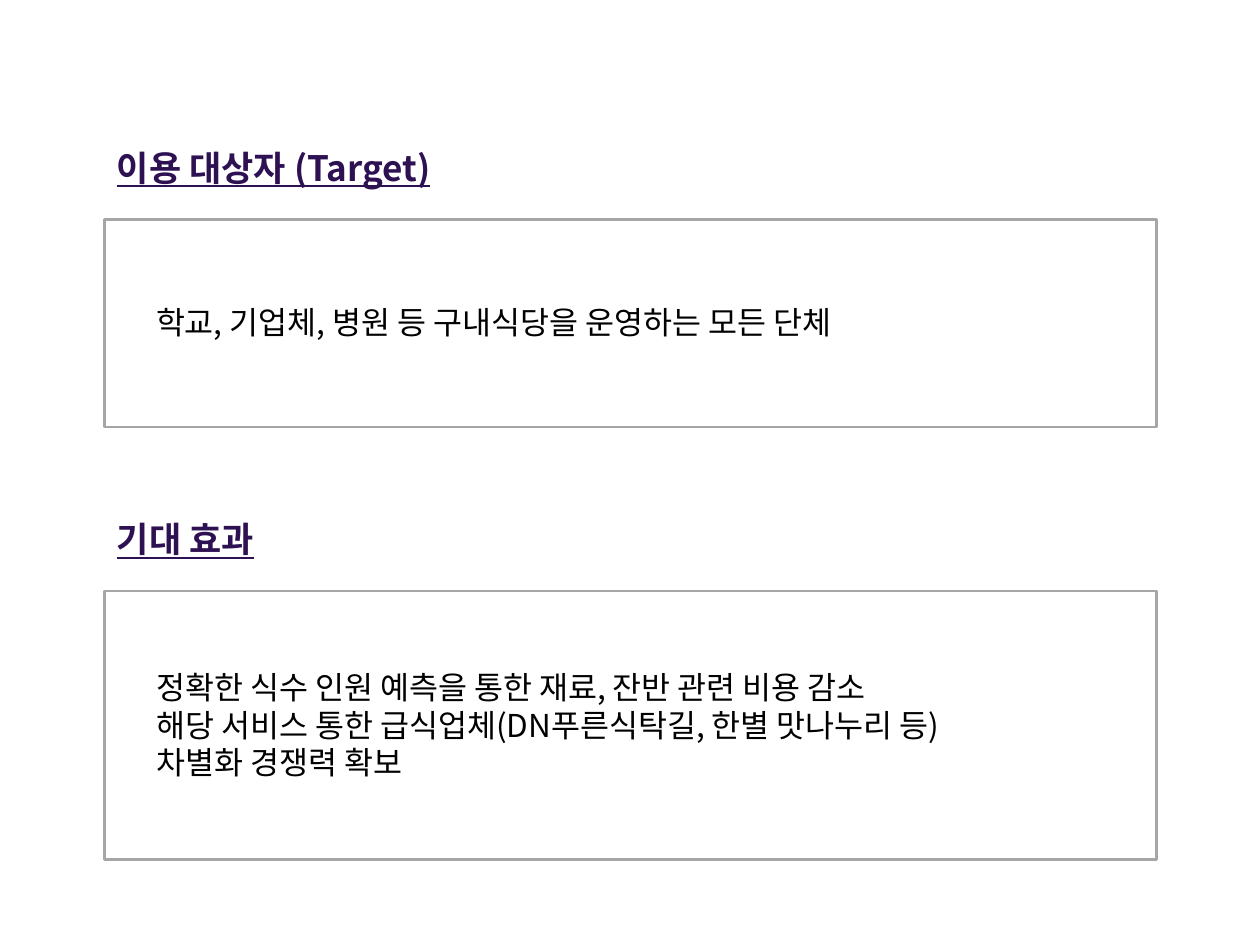
from pptx import Presentation
from pptx.dml.color import RGBColor
from pptx.enum.shapes import MSO_SHAPE
from pptx.enum.text import MSO_AUTO_SIZE
from pptx.oxml.ns import qn
from pptx.util import Inches, Pt
from lxml.etree import SubElement

COLORS = {"heading": "2D1152", "body": "000000", "border": "A6A6A6"}
FONT = "Noto Sans CJK KR"
LEFT, BODY_LEFT, BOX_WIDTH = 0.83, 1.14, 8.35
HEADING_HEIGHT, BOX_OFFSET = 0.44, 0.63

# heading, heading top, box height, body top, body size, body lines
SECTIONS = [
    ("이용 대상자 (Target)", 1.11, 1.65, 2.36, (6.24, 0.4),
     ["학교, 기업체, 병원 등 구내식당을 운영하는 모든 단체"]),
    ("기대 효과", 4.06, 2.13, 5.25, (7.01, 1.01),
     ["정확한 식수 인원 예측을 통한 재료, 잔반 관련 비용 감소",
      "해당 서비스 통한 급식업체(DN푸른식탁길, 한별 맛나누리 등)",
      "차별화 경쟁력 확보"]),
]

presentation = Presentation()
presentation.slide_width = Inches(10)
presentation.slide_height = Inches(7.5)
slide = presentation.slides.add_slide(presentation.slide_layouts[6])


def add_text(lines, left, top, width, height, size, color, heading=False):
    """Add a text box with one paragraph per line; only headings wrap."""
    box = slide.shapes.add_textbox(Inches(left), Inches(top), Inches(width), Inches(height))
    frame = box.text_frame
    frame.word_wrap = heading
    frame.auto_size = MSO_AUTO_SIZE.SHAPE_TO_FIT_TEXT
    frame.text = "\n".join(lines)
    for paragraph in frame.paragraphs:
        font = paragraph.font
        font.name = FONT
        font.size = Pt(size)
        font.color.rgb = RGBColor.from_string(COLORS[color])
        if heading:
            font.bold = font.underline = True
        # Korean letters take the East Asian typeface
        properties = paragraph._p.pPr.find(qn("a:defRPr"))
        SubElement(properties, qn("a:ea"), typeface=FONT)


for heading, top, box_height, body_top, body_size, lines in SECTIONS:
    add_text([heading], LEFT, top, 2.97, HEADING_HEIGHT, 20, "heading", heading=True)
    box = slide.shapes.add_shape(
        MSO_SHAPE.RECTANGLE, Inches(LEFT), Inches(top + BOX_OFFSET),
        Inches(BOX_WIDTH), Inches(box_height))
    box.shadow.inherit = False
    box.fill.background()
    box.line.color.rgb = RGBColor.from_string(COLORS["border"])
    box.line.width = Pt(1.5)
    add_text(lines, BODY_LEFT, body_top, *body_size, 18, "body")

presentation.save("out.pptx")
